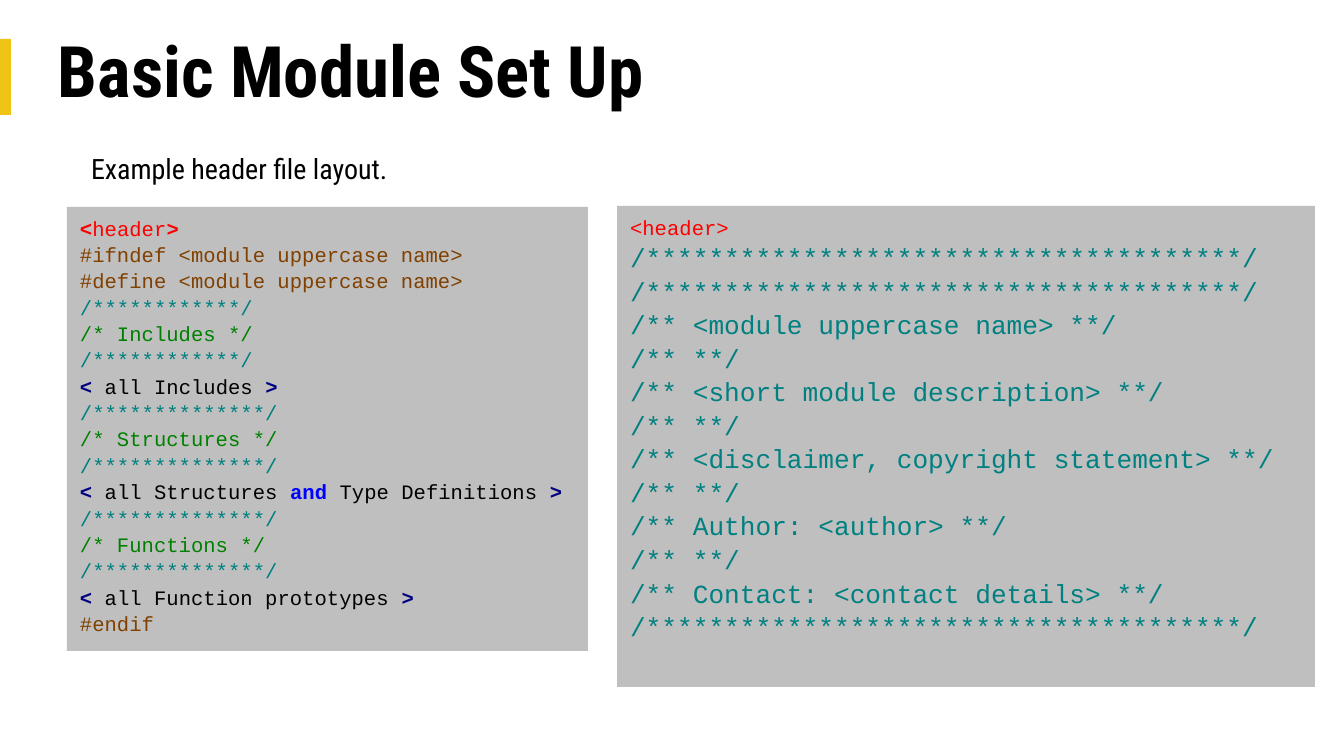
from pptx import Presentation
from pptx.dml.color import RGBColor
from pptx.enum.shapes import MSO_SHAPE
from pptx.enum.text import MSO_ANCHOR, PP_ALIGN
from pptx.util import Emu, Pt

RECTANGLE = MSO_SHAPE.RECTANGLE
TOP, MIDDLE = MSO_ANCHOR.TOP, MSO_ANCHOR.MIDDLE
LEFT = PP_ALIGN.LEFT

BLACK = RGBColor(0x00, 0x00, 0x00)
YELLOW = RGBColor(0xEF, 0xC4, 0x15)
GRAY = RGBColor(0xBF, 0xBF, 0xBF)
RED = RGBColor(0xFF, 0x00, 0x00)
BROWN = RGBColor(0x80, 0x40, 0x00)
TEAL = RGBColor(0x00, 0x80, 0x80)
GREEN = RGBColor(0x00, 0x80, 0x00)
NAVY = RGBColor(0x00, 0x00, 0x80)
BLUE = RGBColor(0x00, 0x00, 0xFF)

HEADING_FONT = "Roboto Condensed"
CODE_FONT = "Courier New"
EMU_PER_PX = 914400 / 134.4


def px(*lengths):
    return [Emu(round(length * EMU_PER_PX)) for length in lengths]


def write_lines(shape, lines, font, spacing, insets, anchor=TOP):
    """Fill a shape with lines, each a list of (text, size, color, bold) runs."""
    frame = shape.text_frame
    frame.word_wrap = True
    frame.vertical_anchor = anchor
    (frame.margin_left, frame.margin_top,
     frame.margin_right, frame.margin_bottom) = px(*insets)
    for index, line in enumerate(lines):
        paragraph = frame.add_paragraph() if index else frame.paragraphs[0]
        paragraph.alignment = LEFT
        paragraph.line_spacing = spacing
        for text, size, color, bold in line:
            run = paragraph.add_run()
            run.text = text
            run.font.name = font
            run.font.size = Pt(size)
            run.font.color.rgb = color
            run.font.bold = bold


presentation = Presentation()
presentation.slide_width, presentation.slide_height = px(1344, 756)
slide = presentation.slides.add_slide(presentation.slide_layouts[6])

accent_bar = slide.shapes.add_shape(RECTANGLE, *px(0, 39, 11, 76))
accent_bar.shadow.inherit = False
accent_bar.fill.solid()
accent_bar.fill.fore_color.rgb = YELLOW
accent_bar.line.fill.background()

title = slide.shapes.add_textbox(*px(48, 28, 1247, 93))
write_lines(title, [[("Basic Module Set Up", 38, BLACK, True)]],
            HEADING_FONT, 0.9, (10, 5, 10, 5), MIDDLE)

body = slide.shapes.add_textbox(*px(48, 142, 1247, 573))
write_lines(body, [[("Example header file layout.", 15, BLACK, False)]],
            HEADING_FONT, 1.14, (43, 5, 10, 5))

# Header file outline: each section has a comment banner and its contents
layout_lines = [
    [("<", 11, RED, True), ("header", 11, RED, False), (">", 11, RED, True)],
    [("#ifndef <module uppercase name>", 11, BROWN, False)],
    [("#define <module uppercase name>", 11, BROWN, False)],
]
sections = [
    ("Includes", 12, [(" all Includes ", 11, BLACK, False)]),
    ("Structures", 14, [(" all Structures ", 11, BLACK, False),
                        ("and", 11, BLUE, True),
                        (" Type Definitions ", 11, BLACK, False)]),
    ("Functions", 14, [(" all Function prototypes ", 11, BLACK, False)]),
]
for name, star_count, contents in sections:
    rule = [("/" + "*" * star_count + "/", 11, TEAL, False)]
    layout_lines += [
        rule,
        [(f"/* {name} */", 11, GREEN, False)],
        rule,
        [("<", 11, NAVY, True), *contents, (">", 11, NAVY, True)],
    ]
layout_lines.append([("#endif", 11, BROWN, False)])

# Comment block that stands for <header>
banner = "/" + "*" * 38 + "/"
spacer = "/** **/"
comment_texts = [
    banner,
    banner,
    "/** <module uppercase name> **/",
    spacer,
    "/** <short module description> **/",
    spacer,
    "/** <disclaimer, copyright statement> **/",
    spacer,
    "/** Author: <author> **/",
    spacer,
    "/** Contact: <contact details> **/",
    banner,
]
header_lines = [[("<header>", 11, RED, False)]]
header_lines += [[(text, 14, TEAL, False)] for text in comment_texts]

code_panels = [
    ((67, 207, 521, 444), layout_lines),
    ((617, 206, 698, 481), header_lines),
]
for bounds, lines in code_panels:
    panel = slide.shapes.add_shape(RECTANGLE, *px(*bounds))
    panel.shadow.inherit = False
    panel.fill.solid()
    panel.fill.fore_color.rgb = GRAY
    panel.line.fill.background()
    write_lines(panel, lines, CODE_FONT, 1.07, (13, 7, 13, 7))

presentation.save("out.pptx")
